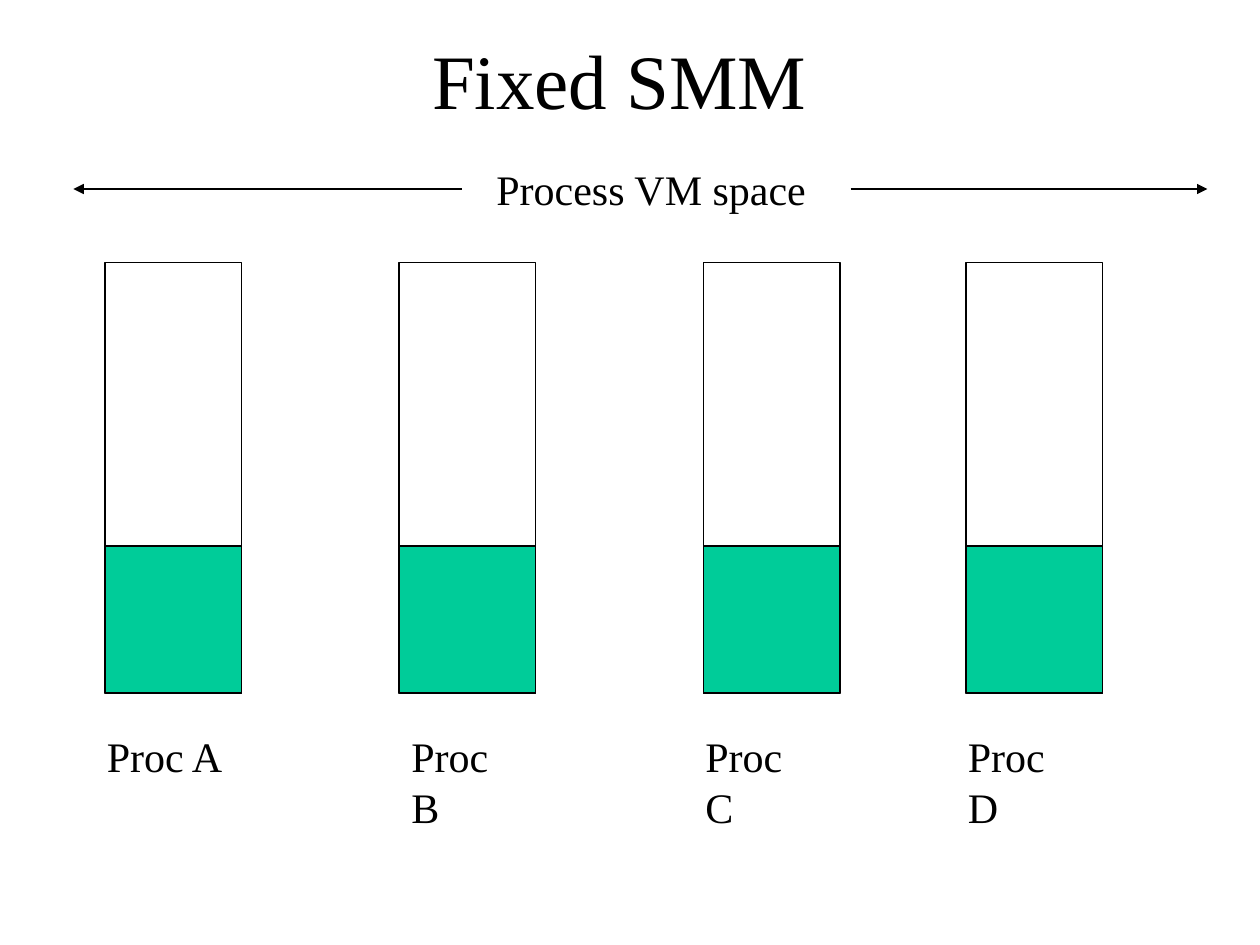
"""Build the Fixed SMM slide showing one shared region in each process's VM space."""
from dataclasses import dataclass
from typing import Optional

import pptx
import pptx.dml.color
import pptx.enum.shapes
import pptx.enum.text
import pptx.oxml
import pptx.oxml.ns
import pptx.util

EMU_PER_PX = 7620


@dataclass(frozen=True)
class Theme:
    font: str = "Times New Roman"
    ink: str = "000000"
    shared: str = "00CC99"
    title_size: int = 44
    label_size: int = 24
    line_width: float = 0.75


@dataclass(frozen=True)
class Box:
    left: int
    top: int
    width: int
    height: int


@dataclass(frozen=True)
class Process:
    name: str
    left: int
    label_left: int
    label_width: int


@dataclass(frozen=True)
class Arrow:
    start: int
    end: int


THEME = Theme()
TITLE_BOX = Box(80, 0, 1020, 150)
SPACE_LABEL_BOX = Box(461, 150, 319, 60)
ARROW_TOP = 180
ARROWS = [Arrow(810, 1150), Arrow(440, 70)]
BAR_TOP, BAR_WIDTH, BAR_HEIGHT, SHARED_HEIGHT = 250, 130, 410, 140
LABEL_TOP, LABEL_HEIGHT = 690, 60
PROCESSES = [
    Process("Proc A", 100, 90, 135),
    Process("Proc B", 380, 380, 133),
    Process("Proc C", 670, 660, 133),
    Process("Proc D", 920, 910, 135),
]


def px(length: int) -> pptx.util.Emu:
    """Turn px into EMU."""
    return pptx.util.Emu(length * EMU_PER_PX)


def edges(box: Box) -> list[pptx.util.Emu]:
    """Give left, top, width and height of a box in EMU."""
    return [px(length) for length in (box.left, box.top, box.width, box.height)]


def color(value: str) -> pptx.dml.color.RGBColor:
    """Turn a hex string into a colour."""
    return pptx.dml.color.RGBColor.from_string(value)


def set_text(shape, text: str, size: int, alignment, **frame_format) -> None:
    """Write one formatted paragraph into a shape."""
    frame = shape.text_frame
    for name, value in frame_format.items():
        setattr(frame, name, value)
    paragraph = frame.paragraphs[0]
    paragraph.text = text
    paragraph.alignment = alignment
    font_format = {"name": THEME.font, "size": pptx.util.Pt(size)}
    for name, value in font_format.items():
        setattr(paragraph.font, name, value)
    paragraph.font.color.rgb = color(THEME.ink)


def set_line(shape) -> None:
    """Give a shape or connector the thin outline."""
    shape.line.color.rgb = color(THEME.ink)
    shape.line.width = pptx.util.Pt(THEME.line_width)


def add_title(slide, text: str, box: Box) -> None:
    """Place and format the title placeholder."""
    title = slide.shapes.title
    for name, value in zip(("left", "top", "width", "height"), edges(box)):
        setattr(title, name, value)
    set_text(title, text, THEME.title_size, pptx.enum.text.PP_ALIGN.CENTER,
             vertical_anchor=pptx.enum.text.MSO_ANCHOR.MIDDLE)


def add_label(slide, text: str, box: Box) -> None:
    """Add a label that does not wrap."""
    label = slide.shapes.add_textbox(*edges(box))
    set_text(label, text, THEME.label_size, pptx.enum.text.PP_ALIGN.LEFT,
             word_wrap=False,
             auto_size=pptx.enum.text.MSO_AUTO_SIZE.SHAPE_TO_FIT_TEXT)


def add_rectangle(slide, box: Box, fill: Optional[str] = None) -> None:
    """Add an outlined rectangle, filled when a colour is given."""
    rectangle = slide.shapes.add_shape(
        pptx.enum.shapes.MSO_SHAPE.RECTANGLE, *edges(box))
    rectangle.shadow.inherit = False
    if fill is None:
        rectangle.fill.background()
    else:
        rectangle.fill.solid()
        rectangle.fill.fore_color.rgb = color(fill)
    set_line(rectangle)


def add_arrow(slide, arrow: Arrow) -> None:
    """Add a horizontal arrow with a triangular head at its end."""
    connector = slide.shapes.add_connector(
        pptx.enum.shapes.MSO_CONNECTOR.STRAIGHT,
        px(arrow.start), px(ARROW_TOP), px(arrow.end), px(ARROW_TOP))
    set_line(connector)
    properties = connector._element.spPr
    line = connector.line._get_or_add_ln()
    for parent, tag, attributes in ((line, "a:tailEnd", {"type": "triangle"}),
                                    (properties, "a:effectLst", {})):
        element = pptx.oxml.parse_xml(
            f"<{tag} {pptx.oxml.ns.nsdecls('a')}/>")
        for name, value in attributes.items():
            element.set(name, value)
        parent.append(element)


def add_process(slide, process: Process) -> None:
    """Add the memory bar, shared region and name of one process."""
    shared_top = BAR_TOP + BAR_HEIGHT - SHARED_HEIGHT
    add_rectangle(slide, Box(process.left, BAR_TOP, BAR_WIDTH, BAR_HEIGHT))
    add_rectangle(slide, Box(process.left, shared_top, BAR_WIDTH, SHARED_HEIGHT),
                  THEME.shared)
    add_label(slide, process.name,
              Box(process.label_left, LABEL_TOP, process.label_width, LABEL_HEIGHT))


def main() -> None:
    """Build and save the presentation."""
    presentation = pptx.Presentation()
    presentation.slide_width, presentation.slide_height = px(1200), px(900)
    slide = presentation.slides.add_slide(presentation.slide_layouts[5])
    add_title(slide, "Fixed SMM", TITLE_BOX)
    add_label(slide, "Process VM space", SPACE_LABEL_BOX)
    for arrow in ARROWS:
        add_arrow(slide, arrow)
    for process in PROCESSES:
        add_process(slide, process)
    presentation.save("out.pptx")


if __name__ == "__main__":
    main()
